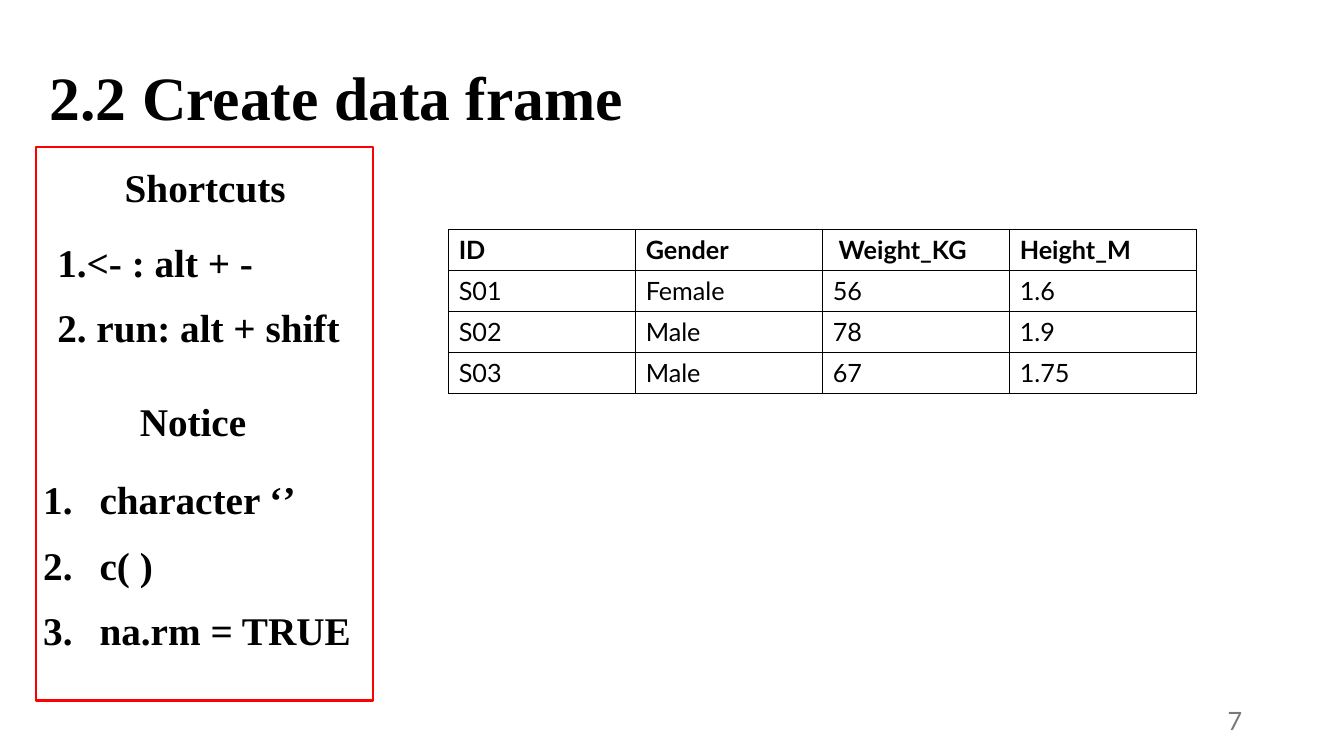
from lxml import etree
from pptx import Presentation
from pptx.dml.color import RGBColor
from pptx.enum.shapes import MSO_SHAPE
from pptx.enum.text import MSO_ANCHOR, PP_ALIGN
from pptx.oxml import parse_xml
from pptx.oxml.ns import nsdecls, qn
from pptx.util import Inches, Pt

RECTANGLE = MSO_SHAPE.RECTANGLE
MIDDLE = MSO_ANCHOR.MIDDLE
LEFT, CENTER, RIGHT = PP_ALIGN.LEFT, PP_ALIGN.CENTER, PP_ALIGN.RIGHT
COLORS = {"ink": "000000", "paper": "FFFFFF", "frame": "FF0000", "number": "797979"}
SERIF, SANS = "Times New Roman", "Lato"


def style(paragraph, face, size, color, bold=False):
    font = paragraph.font
    font.name, font.size, font.bold = face, Pt(size), bold
    font.color.rgb = RGBColor.from_string(COLORS[color])


def add_text(box, lines, face, size, color="ink", bold=True, align=LEFT,
             spacing=1.15, after=8, numbered=0, hanging=0):
    frame = slide.shapes.add_textbox(*map(Inches, box)).text_frame
    frame.word_wrap = True
    for index, line in enumerate(lines):
        paragraph = frame.add_paragraph() if index else frame.paragraphs[0]
        paragraph.text = line
        paragraph.alignment = align
        paragraph.line_spacing, paragraph.space_after = spacing, Pt(after)
        if index < numbered:
            properties = paragraph._p.get_or_add_pPr()
            properties.set("marL", str(Inches(hanging)))
            properties.set("indent", str(-Inches(hanging)))
            etree.SubElement(properties, qn("a:buFont"), typeface="+mj-lt")
            etree.SubElement(properties, qn("a:buAutoNum"), type="arabicPeriod")
        style(paragraph, face, size, color, bold)
    return frame


deck = Presentation()
deck.slide_width, deck.slide_height = Inches(13.33), Inches(7.5)
slide = deck.slides.add_slide(deck.slide_layouts[6])

page_number = add_text((9.42, 6.95, 3, 0.4), ["7"], SANS, 18, "number", False,
                       RIGHT, spacing=1, after=0)
page_number.vertical_anchor = MIDDLE

panel = slide.shapes.add_shape(RECTANGLE, *map(Inches, (0.36, 1.46, 3.34, 5.49)))
panel.shadow.inherit = False
panel.fill.solid()
panel.fill.fore_color.rgb = RGBColor.from_string(COLORS["paper"])
panel.line.color.rgb = RGBColor.from_string(COLORS["frame"])
panel.line.width = Pt(1.5)

PANEL_TEXT_W = 3.57
add_text((0.25, 1.5, PANEL_TEXT_W, 0.6), ["Shortcuts"], SERIF, 28, align=CENTER)
add_text((0.47, 2.24, PANEL_TEXT_W, 1.25), ["<- : alt + -", "2. run: alt + shift"],
         SERIF, 28, numbered=1)
add_text((0.13, 3.82, PANEL_TEXT_W, 0.6), ["Notice"], SERIF, 28, align=CENTER)
add_text((0.33, 4.6, PANEL_TEXT_W, 1.91), ["character ‘’", "c( )", "na.rm = TRUE"],
         SERIF, 28, numbered=3, hanging=0.56)
add_text((0.13, 0.43, 6.42, 0.88), ["2.2 Create data frame"], SERIF, 44, align=CENTER)

records = [
    ("ID", "Gender", " Weight_KG", "Height_M"),
    ("S01", "Female", "56", "1.6"),
    ("S02", "Male", "78", "1.9"),
    ("S03", "Male", "67", "1.75"),
]
COL_W, ROW_H = 1.855, 0.406
data_frame = slide.shapes.add_table(
    len(records), len(records[0]), Inches(4.45), Inches(2.28),
    Inches(COL_W * len(records[0])), Inches(ROW_H * len(records))).table
for column in data_frame.columns:
    column.width = Inches(COL_W)
for row, record in enumerate(records):
    data_frame.rows[row].height = Inches(ROW_H)
    for col, value in enumerate(record):
        cell = data_frame.cell(row, col)
        cell.text = value
        style(cell.text_frame.paragraphs[0], SANS, 18, "ink", row == 0)
        properties = cell._tc.get_or_add_tcPr()
        for edge in ("lnL", "lnR", "lnT", "lnB"):
            properties.append(parse_xml(
                f'<a:{edge} {nsdecls("a")} w="{Pt(1)}"><a:solidFill>'
                f'<a:srgbClr val="{COLORS["ink"]}"/></a:solidFill></a:{edge}>'))
        cell.fill.background()

deck.save("out.pptx")
